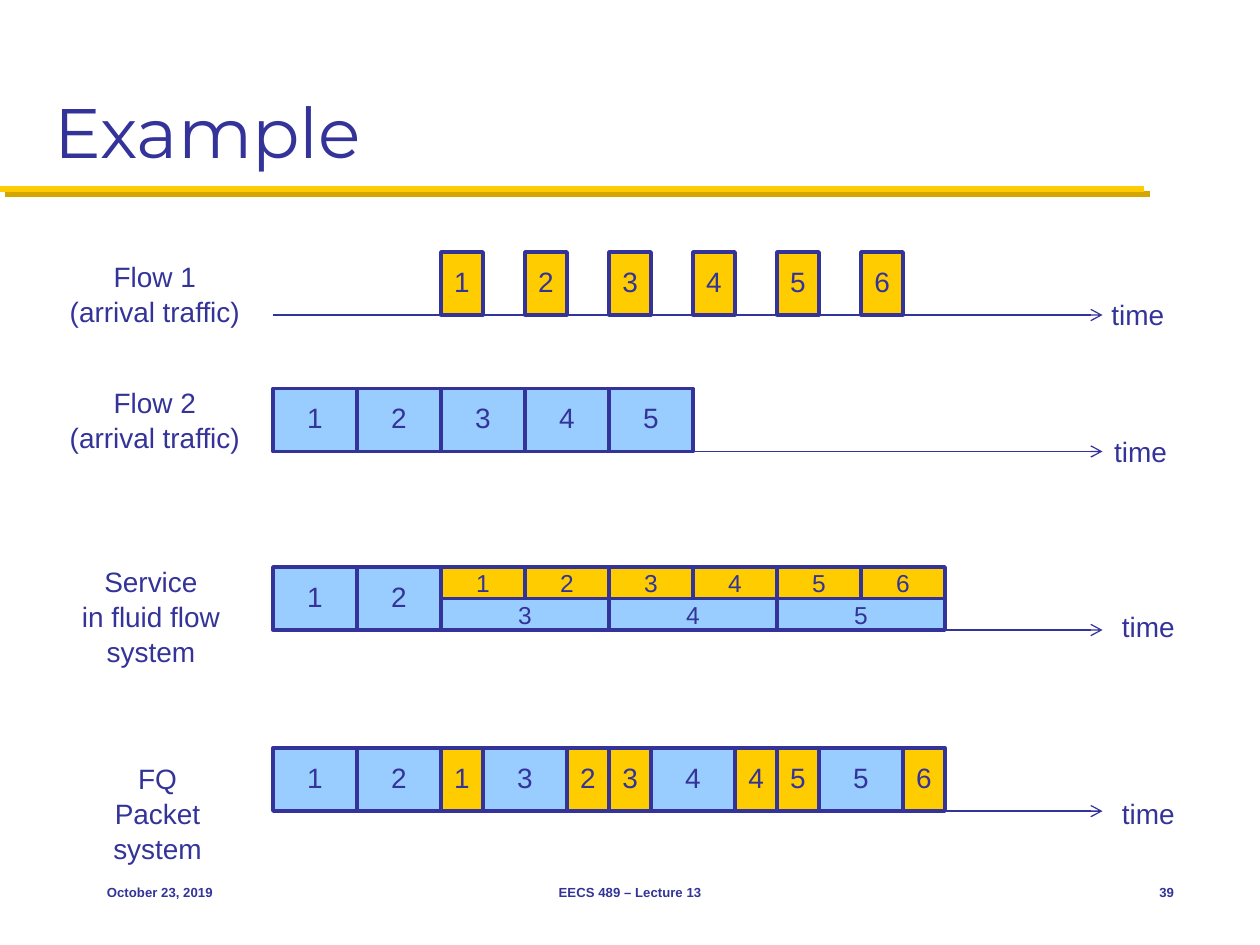
"""Build the fair queueing example slide: two flows, fluid service and packet service."""
from lxml import etree
from pptx import Presentation
from pptx import util as u
from pptx.dml.color import RGBColor
from pptx.enum import shapes, text
from pptx.oxml import ns

HUES = {"ink": "333399", "gold": "FFCC00", "sky": "99CCFF", "rule": "FFCB05", "shade": "D3A600"}
GRID = u.Inches(1) / 12
LEFT, END, SLOT = 26, 105, 4
MID, TOP, LOW = text.MSO_ANCHOR.MIDDLE, text.MSO_ANCHOR.TOP, text.MSO_ANCHOR.BOTTOM
ALIGN = {"l": text.PP_ALIGN.LEFT, "c": text.PP_ALIGN.CENTER, "r": text.PP_ALIGN.RIGHT}
BODY = {"name": "Arial", "size": u.Pt(16)}
SMALL = {"name": "Arial", "size": u.Pt(14)}
FOOT = {"name": "Arial", "size": u.Pt(7.5), "bold": True}
HEAD = {"name": "Montserrat", "size": u.Pt(40)}

TITLE = ("Example", (4, 2, 112, 15))
AXES = [30, 43, 60, 77.25]
LANES = [
    (30, 6, 4, 1, {"gold": 1}, "gold1 gold2 gold3 gold4 gold5 gold6"),
    (43, 6, 0, 0, {"sky": 2}, "sky1 sky2 sky3 sky4 sky5"),
    (60, 6, 0, 0, {"sky": 2}, "sky1 sky2"),
    (60, 3, 4, 0, {"sky": 4}, "sky3 sky4 sky5"),
    (57, 3, 4, 0, {"gold": 2}, "gold1 gold2 gold3 gold4 gold5 gold6"),
    (77.25, 6, 0, 0, {"sky": 2, "gold": 1},
     "sky1 sky2 gold1 sky3 gold2 gold3 sky4 gold4 gold5 sky5 gold6"),
]
LABELS = [
    ("Flow 1\n(arrival traffic)", (3.25, 24, 23, 9.25)),
    ("Flow 2\n(arrival traffic)", (3.25, 36, 23, 9.25)),
    ("Service\nin fluid flow\nsystem", (4.75, 53, 19.25, 13.25)),
    ("FQ\vPacket\nsystem", (8.5, 71.75, 13, 13.25)),
]
TIMES = [(104, 27.75), (104.25, 40.75), (105, 57.5), (105, 75.25)]
FOOTER = [
    ("October 23, 2019", (9, 82, 25, 6), "l"),
    ("EECS 489 – Lecture 13", (41, 82, 38, 6), "c"),
    ("39", (105, 82, 8, 6), "r"),
]


def hue(key):
    return RGBColor.from_string(HUES[key])


def scale(spot):
    return [round(n * GRID) for n in spot]


def put(obj, vals):
    for key, val in vals.items():
        setattr(obj, key, val)


def write(frame, words, font, side="c", space=None, **look):
    put(frame, {"word_wrap": True, **look})
    frame.text = words
    for par in frame.paragraphs:
        put(par, {"alignment": ALIGN[side], "line_spacing": space})
        put(par.font, font)
        par.font.color.rgb = hue("ink")


def label(slide, words, spot, font, side="c", **look):
    box = slide.shapes.add_textbox(*scale(spot))
    write(box.text_frame, words, font, side, **look)


def line(slide, ends, key, width):
    link = slide.shapes.add_connector(shapes.MSO_CONNECTOR.STRAIGHT, *scale(ends))
    link.line.color.rgb = hue(key)
    link.line.width = u.Pt(width)
    glow = etree.SubElement(link._element.spPr, ns.qn("a:effectLst"))
    return link, glow


def rule(slide):
    _, glow = line(slide, (0, 18, 109, 18), "rule", 3.5)
    cast = etree.SubElement(glow, ns.qn("a:outerShdw"), dist=str(u.Pt(4.2)),
                            dir=str(45 * 60000), algn="ctr", rotWithShape="0")
    etree.SubElement(cast, ns.qn("a:srgbClr"), val=HUES["shade"])


def axis(slide, base):
    link, _ = line(slide, (LEFT, base, END, base), "ink", 0.75)
    etree.SubElement(link.line._get_or_add_ln(), ns.qn("a:tailEnd"), type="arrow")


def packet(slide, kind, num, spot, tall):
    box = slide.shapes.add_shape(shapes.MSO_SHAPE.RECTANGLE, *scale(spot))
    box.shadow.inherit = False
    box.fill.solid()
    box.fill.fore_color.rgb = hue(kind)
    box.line.color.rgb = hue("ink")
    box.line.width = u.Pt(2)
    full = tall > 3
    pads = dict.fromkeys(("margin_left", "margin_right", "margin_top"), 0)
    write(box.text_frame, num, BODY if full else SMALL, vertical_anchor=MID,
          margin_bottom=u.Inches(0.04 if full else 0), **pads)


def lane(slide, base, tall, start, gap, widths, names):
    for name in names.split():
        kind, num = name[:-1], name[-1]
        wide = widths[kind]
        spot = (LEFT + start * SLOT, base - tall, wide * SLOT, tall)
        packet(slide, kind, num, spot, tall)
        start += wide + gap


def main():
    deck = Presentation()
    put(deck, {"slide_width": u.Inches(10), "slide_height": u.Inches(7.5)})
    slide = deck.slides.add_slide(deck.slide_layouts[6])
    rule(slide)
    label(slide, *TITLE, HEAD, "l", vertical_anchor=LOW)
    for base in AXES:
        axis(slide, base)
    for row in LANES:
        lane(slide, *row)
    for words, spot in LABELS:
        label(slide, words, spot, BODY, space=1.05, vertical_anchor=TOP)
    for spot in TIMES:
        label(slide, "time", (*spot, 8.75, 5.25), BODY, vertical_anchor=TOP)
    for words, spot, side in FOOTER:
        label(slide, words, spot, FOOT, side, vertical_anchor=MID)
    deck.save("out.pptx")


if __name__ == "__main__":
    main()
